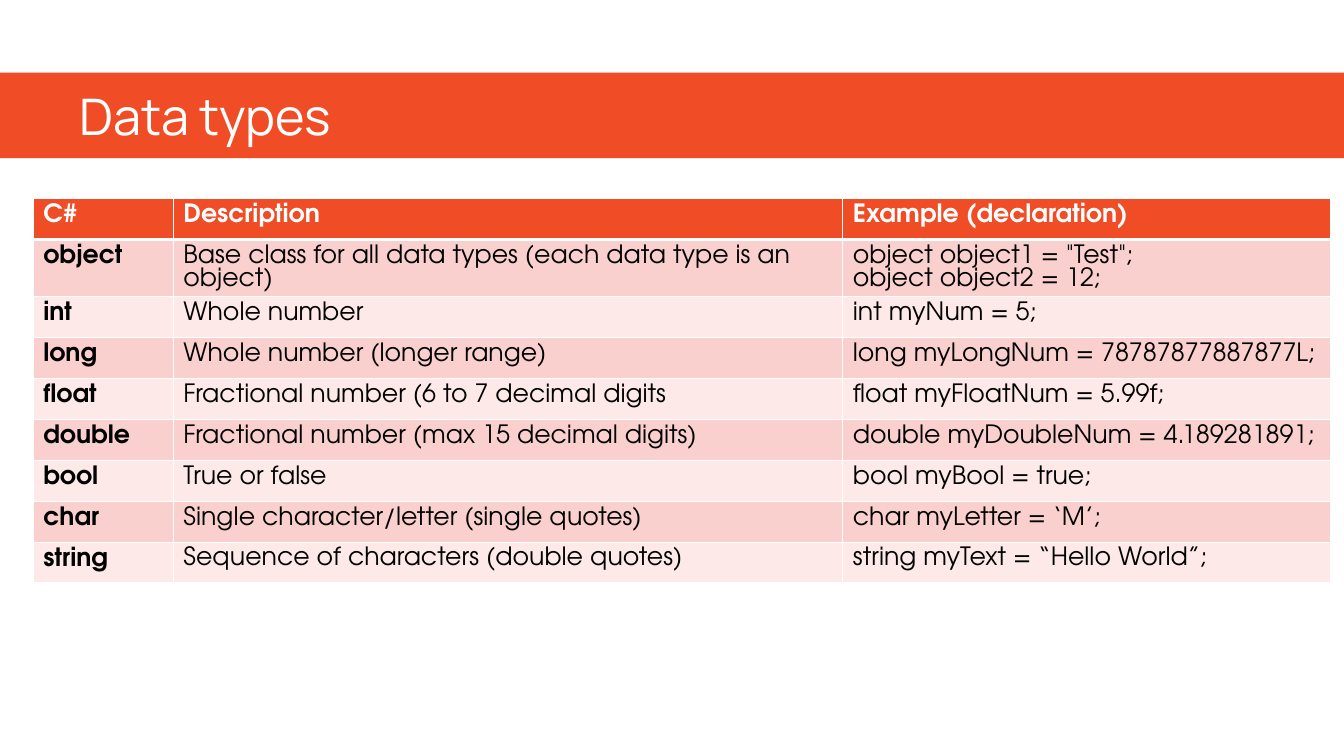
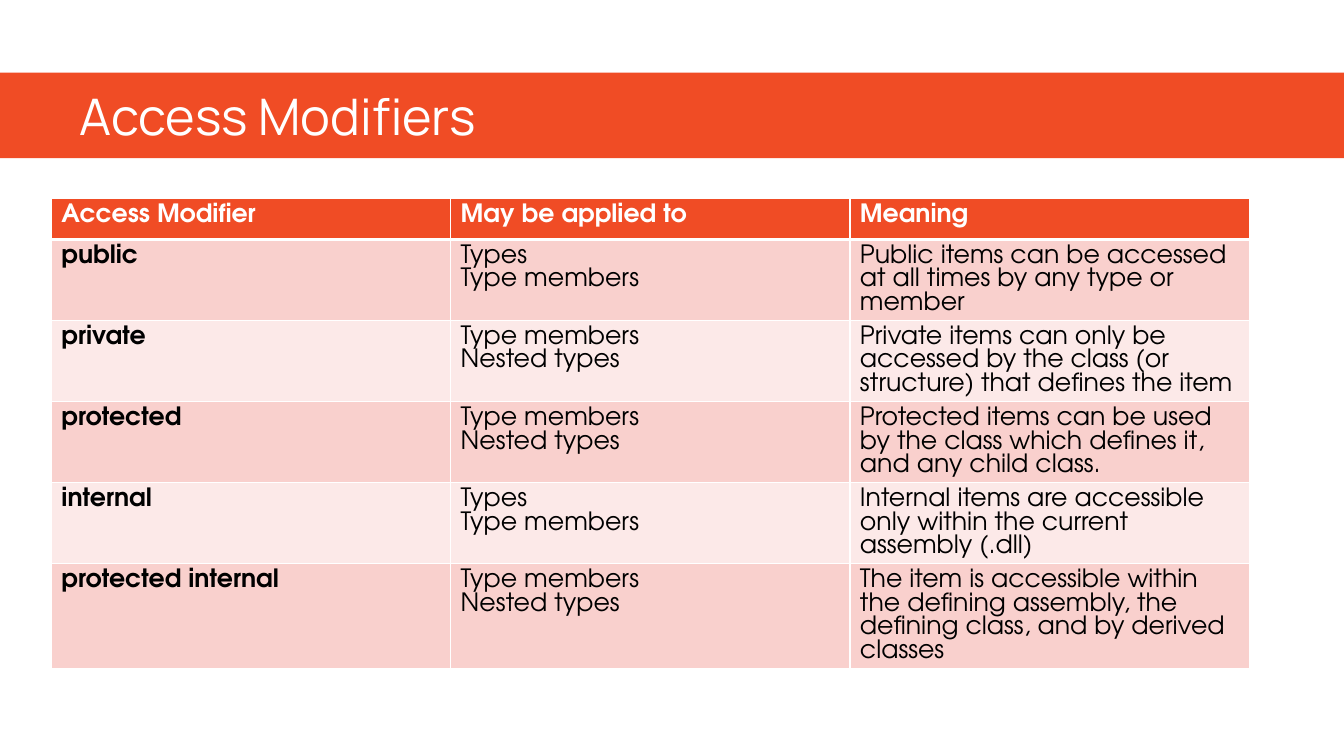
"""Build two slides of C# reference tables."""
from lxml import etree
from pptx import Presentation, util as u
from pptx.dml.color import RGBColor
from pptx.enum import shapes, text
from pptx.oxml import ns

ORANGE, WHITE, BLACK = "F04C25", "FFFFFF", "000000"
BANDS = ("F9D0CD", "FCE9E8")
TITLE_FONT, TABLE_FONT = "Manrope", "TeX Gyre Adventor"
SLIDE_WIDTH, SLIDE_HEIGHT = 13.33, 7.5
TABLE_TOP, ROW_HEIGHT = 1.97, 3.65 / 9
LINE_PITCH = 16.9

DATA_TYPES = [
    ("C#", "Description", "Example (declaration)"),
    ("object", "Base class for all data types (each data type is an object)",
     'object object1 = "Test";\nobject object2 = 12;'),
    ("int", "Whole number", "int myNum = 5;"),
    ("long", "Whole number (longer range)", "long myLongNum = 78787877887877L;"),
    ("float", "Fractional number (6 to 7 decimal digits", "float myFloatNum = 5.99f;"),
    ("double", "Fractional number (max 15 decimal digits)",
     "double myDoubleNum = 4.189281891;"),
    ("bool", "True or false", "bool myBool = true;"),
    ("char", "Single character/letter (single quotes)", "char myLetter = ‘M’;"),
    ("string", "Sequence of characters (double quotes)",
     "string myText = “Hello World”;"),
]
ANY_TYPE = "Types\nType members"
NESTED = "Type members\nNested types"
ACCESS_MODIFIERS = [
    ("Access Modifier", "May be applied to", "Meaning"),
    ("public", ANY_TYPE,
     "Public items can be accessed at all times by any type or member"),
    ("private", NESTED,
     "Private items can only be accessed by the class (or structure) "
     "that defines the item"),
    ("protected", NESTED,
     "Protected items can be used by the class which defines it, "
     "and any child class."),
    ("internal", ANY_TYPE,
     "Internal items are accessible only within the current assembly (.dll)"),
    ("protected internal", NESTED,
     "The item is accessible within the defining assembly, "
     "the defining class, and by derived classes"),
]


def color(value):
    """Turn a hex string into a colour."""
    return RGBColor.from_string(value)


def add_span(para, words, font, size, ink, bold=False):
    """Add one styled run to a paragraph."""
    span = para.add_run()
    span.text = words
    span.font.name = font
    span.font.size = u.Pt(size)
    span.font.bold = bold
    span.font.color.rgb = color(ink)


def add_title(page, words):
    """Draw the title band across the slide."""
    band = page.shapes.add_shape(
        shapes.MSO_SHAPE.RECTANGLE, 0, u.Inches(0.72),
        u.Inches(SLIDE_WIDTH), u.Inches(0.85))
    band.shadow.inherit = False
    band.fill.solid()
    band.fill.fore_color.rgb = color(ORANGE)
    band.line.fill.background()
    frame = band.text_frame
    frame.word_wrap = True
    frame.vertical_anchor = text.MSO_ANCHOR.MIDDLE
    frame.margin_left = frame.margin_right = u.Inches(0.79)
    frame.margin_top = frame.margin_bottom = 0
    para = frame.paragraphs[0]
    para.alignment = text.PP_ALIGN.LEFT
    add_span(para, words, TITLE_FONT, 36, WHITE)


def set_borders(cell, bottom):
    """Give a cell thin white borders and a bottom one of the given width."""
    props = cell._tc.get_or_add_tcPr()
    widths = {"a:lnL": 1, "a:lnR": 1, "a:lnT": 1, "a:lnB": bottom}
    for index, (tag, width) in enumerate(widths.items()):
        line = etree.Element(ns.qn(tag), w=str(u.Pt(width)))
        fill = etree.SubElement(line, ns.qn("a:solidFill"))
        etree.SubElement(fill, ns.qn("a:srgbClr"), val=WHITE)
        props.insert(index, line)


def fill_cell(cell, words, fill, ink, bold, bottom):
    """Fill and border a cell, one paragraph for each line of words."""
    cell.fill.solid()
    cell.fill.fore_color.rgb = color(fill)
    set_borders(cell, bottom)
    frame = cell.text_frame
    for index, line in enumerate(words.split("\n")):
        para = frame.add_paragraph() if index else frame.paragraphs[0]
        para.line_spacing = u.Pt(LINE_PITCH)
        add_span(para, line, TABLE_FONT, 18, ink, bold)


def add_grid(page, left, widths, rows):
    """Add a table with an orange header row and banded body rows."""
    table = page.shapes.add_table(
        len(rows), len(widths), u.Inches(left), u.Inches(TABLE_TOP),
        u.Inches(sum(widths)), u.Inches(ROW_HEIGHT * len(rows))).table
    for column, width in zip(table.columns, widths):
        column.width = u.Inches(width)
    for r, row in enumerate(rows):
        header = r == 0
        fill = ORANGE if header else BANDS[(r - 1) % 2]
        for c, words in enumerate(row):
            fill_cell(table.cell(r, c), words, fill,
                      ink=WHITE if header else BLACK,
                      bold=header or c == 0,
                      bottom=3 if header else 1)


def add_page(deck, title, left, widths, rows):
    """Add a slide with a title band and a table."""
    page = deck.slides.add_slide(deck.slide_layouts[6])
    add_title(page, title)
    add_grid(page, left, widths, rows)


def main():
    """Build and save the deck."""
    deck = Presentation()
    deck.slide_width = u.Inches(SLIDE_WIDTH)
    deck.slide_height = u.Inches(SLIDE_HEIGHT)
    add_page(deck, "Data types", 0.33, [1.39, 6.64, 4.84], DATA_TYPES)
    add_page(deck, "Access Modifiers", 0.51, [3.96] * 3, ACCESS_MODIFIERS)
    deck.save("out.pptx")


if __name__ == "__main__":
    main()
